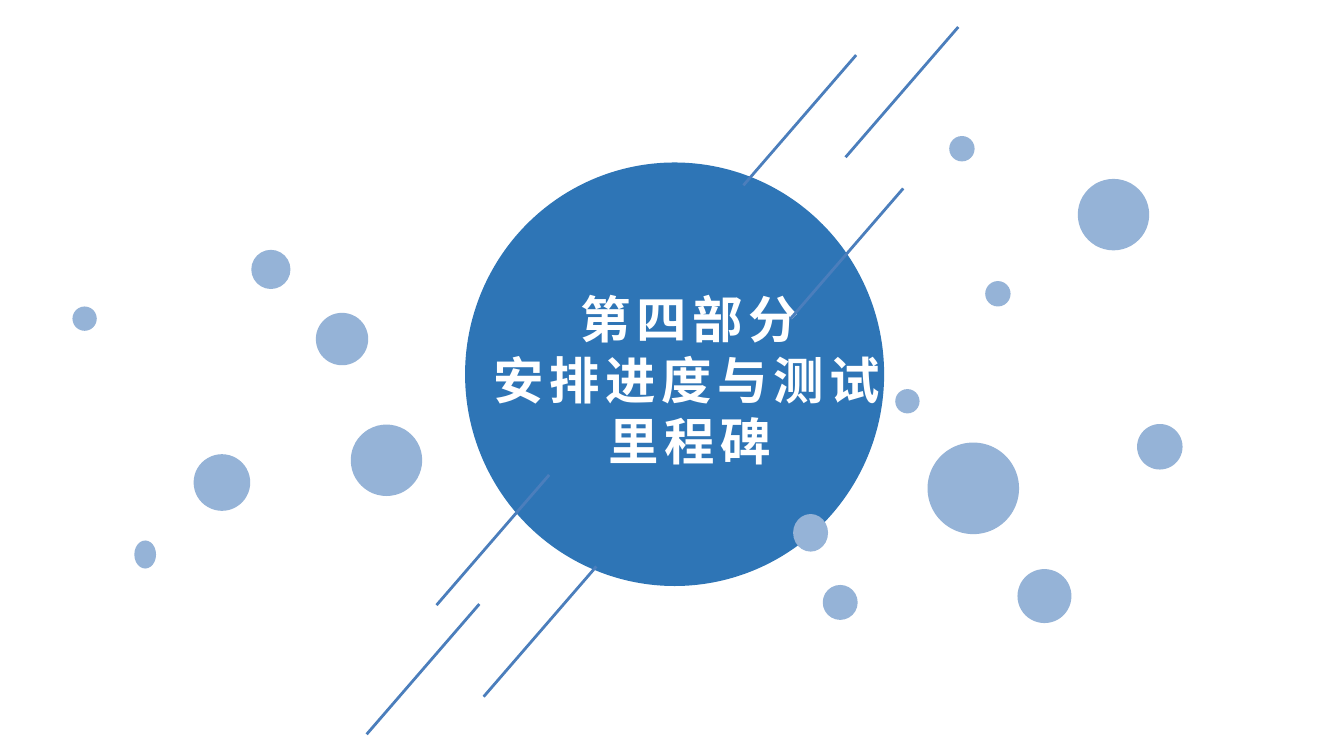
from dataclasses import dataclass

from lxml.etree import SubElement
from pptx import Presentation
from pptx.dml.color import RGBColor
from pptx.enum.shapes import MSO_CONNECTOR as Connector, MSO_SHAPE as Shape
from pptx.enum.text import MSO_AUTO_SIZE as AutoSize, PP_ALIGN as Align
from pptx.oxml.ns import qn
from pptx.util import Cm, Pt


@dataclass(frozen=True)
class Theme:
    disc: RGBColor = RGBColor(0x2E, 0x75, 0xB6)
    bubble: RGBColor = RGBColor(0x95, 0xB3, 0xD7)
    streak: RGBColor = RGBColor(0x4B, 0x7E, 0xBC)
    title: RGBColor = RGBColor(0xFF, 0xFF, 0xFF)
    font: str = "Noto Sans CJK SC"
    title_size: float = 27
    title_leading: float = 32.7
    title_tracking: float = 3
    streak_width: float = 1.5


@dataclass(frozen=True)
class Box:
    left: float
    top: float
    width: float
    height: float


THEME = Theme()
TITLE_LINES = ["第四部分", "安排进度与测试里程碑"]
STREAK_RUN, STREAK_DROP = 2.13, 2.46

LEFT_BUBBLES = [
    (1.17, 5.49, 0.41, 0.53),
    (2.29, 3.86, 1.07, 1.07),
    (5.26, 3.30, 1.35, 1.35),
    (0, 1.07, 0.46, 0.46),
    (4.60, 1.19, 0.99, 0.99),
    (3.38, 0, 0.74, 0.74),
]
RIGHT_BUBBLES = [
    (1.93, 4.78, 0.46, 0.46),
    (5.38, 0.81, 1.35, 1.35),
    (0.56, 8.48, 0.66, 0.66),
    (0, 7.14, 0.66, 0.71),
    (3.63, 2.74, 0.48, 0.48),
    (2.54, 5.79, 1.73, 1.73),
    (2.95, 0, 0.48, 0.48),
    (6.50, 5.44, 0.86, 0.86),
    (4.24, 8.18, 1.02, 1.02),
]
UPPER_STREAKS = [(2.13, 0.53), (4.06, 0), (3.02, 3.05)]
LOWER_STREAKS = [(2.13, 2.44), (4.34, 1.73), (3.45, 0)]


def add_circle(slide, left, top, width, height, color):
    circle = slide.shapes.add_shape(
        Shape.OVAL, Cm(left), Cm(top), Cm(width), Cm(height))
    circle.shadow.inherit = False
    circle.fill.solid()
    circle.fill.fore_color.rgb = color
    circle.line.fill.background()


def add_title_disc(slide, box):
    add_circle(slide, box.left, box.top, box.width, box.height, THEME.disc)
    title = slide.shapes.add_textbox(
        Cm(box.left + 0.25), Cm(box.top + 2.13), Cm(8), Cm(3.71))
    frame = title.text_frame
    frame.text = "\n".join(TITLE_LINES)
    frame.word_wrap = True
    frame.auto_size = AutoSize.SHAPE_TO_FIT_TEXT
    frame.margin_top, frame.margin_bottom = Cm(0.23), Cm(0)
    for paragraph in frame.paragraphs:
        paragraph.alignment = Align.CENTER
        paragraph.line_spacing = Pt(THEME.title_leading)
        for run in paragraph.runs:
            run.font.size = Pt(THEME.title_size)
            run.font.bold = True
            run.font.color.rgb = THEME.title
            run.font.name = THEME.font
            properties = run.font._element
            properties.set("spc", str(round(THEME.title_tracking * 100)))
            SubElement(properties, qn("a:ea"), typeface=THEME.font)


def add_bubbles(slide, box, bubbles):
    for left, top, width, height in bubbles:
        add_circle(slide, box.left + left, box.top + top,
                   width, height, THEME.bubble)


def add_streaks(slide, box, starts):
    for x, y in starts:
        left, top = box.left + x, box.top + y
        streak = slide.shapes.add_connector(
            Connector.STRAIGHT, Cm(left), Cm(top),
            Cm(left - STREAK_RUN), Cm(top + STREAK_DROP))
        streak.line.color.rgb = THEME.streak
        streak.line.width = Pt(THEME.streak_width)
        SubElement(streak._element.spPr, qn("a:effectLst"))


def main():
    deck = Presentation()
    deck.slide_width, deck.slide_height = Cm(25.4), Cm(14.28)
    slide = deck.slides.add_slide(deck.slide_layouts[6])
    add_title_disc(slide, Box(8.79, 3.07, 7.92, 8))
    add_bubbles(slide, Box(1.37, 4.72, 6.61, 6.02), LEFT_BUBBLES)
    add_bubbles(slide, Box(14.99, 2.57, 7.36, 9.2), RIGHT_BUBBLES)
    add_streaks(slide, Box(14.05, 0.51, 4.06, 5.51), UPPER_STREAKS)
    add_streaks(slide, Box(6.93, 8.97, 4.34, 4.9), LOWER_STREAKS)
    deck.save("out.pptx")


if __name__ == "__main__":
    main()
